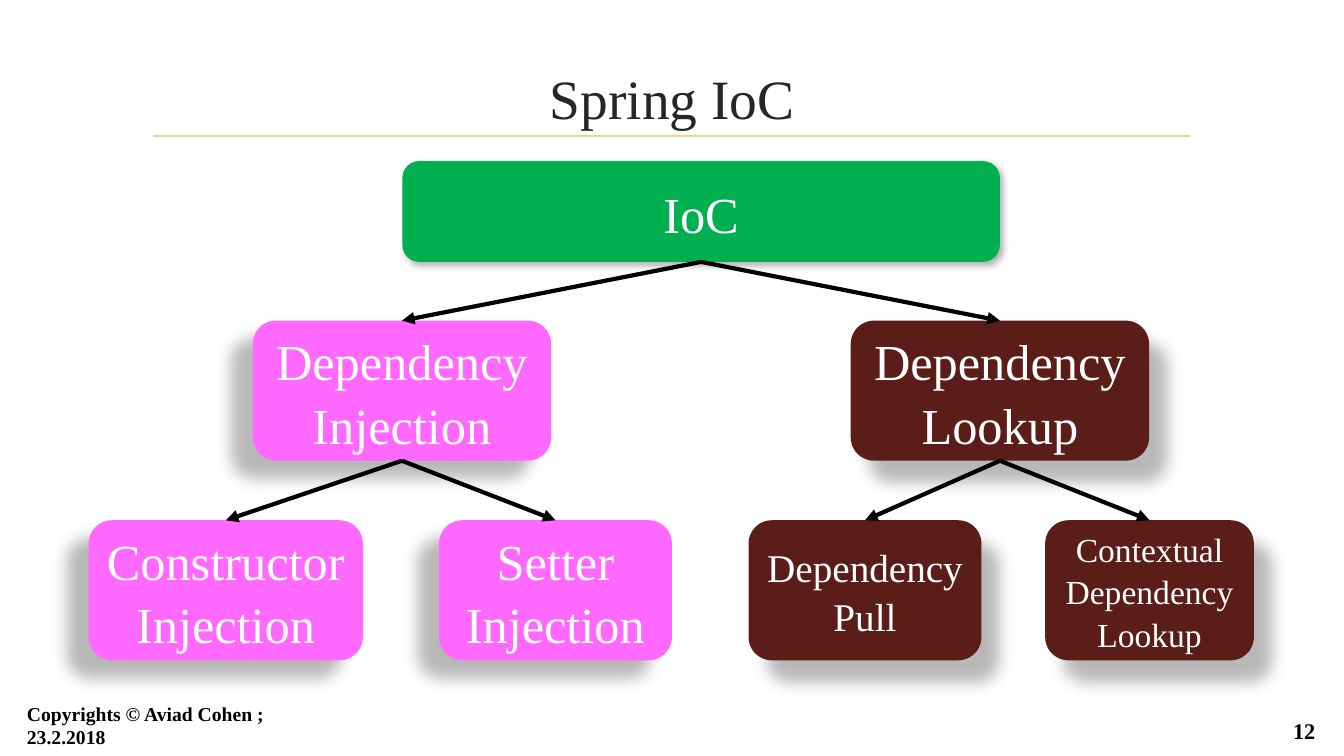
from dataclasses import dataclass
from typing import Optional

from lxml.etree import SubElement
from pptx import Presentation
from pptx.dml.color import RGBColor
from pptx.enum.shapes import MSO_CONNECTOR, MSO_SHAPE
from pptx.enum.text import MSO_ANCHOR, PP_ALIGN
from pptx.oxml.ns import qn
from pptx.util import Cm, Pt

FONT = "Times New Roman"
BLACK, WHITE = "000000", "FFFFFF"
TOP, BOTTOM = 0, 2


@dataclass(frozen=True)
class Shadow:
    alpha: int
    blur: float
    distance: float
    angle: int


@dataclass(frozen=True)
class Style:
    fill: str
    shadow: Shadow


@dataclass(frozen=True)
class Level:
    top: float
    height: float


@dataclass(frozen=True)
class Node:
    text: str
    parent: Optional[str]
    center: float
    width: float
    level: Level
    style: Style
    size: int = 36


ROOT = Level(4.06, 2.54)
BRANCH = Level(8.08, 3.53)
LEAF = Level(13.11, 3.53)

GREEN = Style("00B050", Shadow(30, 4.5, 2.6, 53))
PINK = Style("FF69FF", Shadow(28, 11.8, 19.7, 141))
BROWN = Style("5A1D18", Shadow(28, 11.8, 20, 50))

NODES = [
    Node("Dependency Injection", "IoC", 10.13, 7.52, BRANCH, PINK),
    Node("Dependency Lookup", "IoC", 25.2, 7.52, BRANCH, BROWN),
    Node("IoC", None, 17.67, 15.06, ROOT, GREEN),
    Node("Constructor Injection", "Dependency Injection", 5.69, 6.91, LEAF, PINK),
    Node("Setter Injection", "Dependency Injection", 14, 5.87, LEAF, PINK),
    Node("Dependency Pull", "Dependency Lookup", 21.8, 5.87, LEAF, BROWN, 28),
    Node("Contextual Dependency Lookup", "Dependency Lookup", 28.97, 5.26, LEAF, BROWN, 24),
]


def rgb(color: str) -> RGBColor:
    return RGBColor.from_string(color)


def write(sp, text: str, *, size: float, color: str = BLACK, bold: bool = False,
          align: PP_ALIGN = PP_ALIGN.CENTER, spacing: float = 1.0) -> None:
    tf = sp.text_frame
    tf.word_wrap = True
    tf.vertical_anchor = MSO_ANCHOR.MIDDLE
    p = tf.paragraphs[0]
    p.alignment = align
    p.line_spacing = spacing
    r = p.add_run()
    r.text = text
    r.font.name = FONT
    r.font.size = Pt(size)
    r.font.bold = bold
    r.font.color.rgb = rgb(color)


def add_shadow(sp, shadow: Shadow) -> None:
    effects = SubElement(sp.element.spPr, qn("a:effectLst"))
    outer = SubElement(effects, qn("a:outerShdw"), blurRad=str(Pt(shadow.blur)),
                       dist=str(Pt(shadow.distance)), dir=str(shadow.angle * 60000),
                       algn="ctr", rotWithShape="0")
    color = SubElement(outer, qn("a:srgbClr"), val=BLACK)
    SubElement(color, qn("a:alpha"), val=str(shadow.alpha * 1000))


def add_node(slide, node: Node):
    sp = slide.shapes.add_shape(
        MSO_SHAPE.ROUNDED_RECTANGLE, Cm(node.center - node.width / 2),
        Cm(node.level.top), Cm(node.width), Cm(node.level.height))
    sp.fill.solid()
    sp.fill.fore_color.rgb = rgb(node.style.fill)
    sp.line.fill.background()
    add_shadow(sp, node.style.shadow)
    write(sp, node.text, size=node.size, color=WHITE, spacing=1.05)
    return sp


def add_line(slide, x1: float, y1: float, x2: float, y2: float,
             color: str, width: float):
    line = slide.shapes.add_connector(
        MSO_CONNECTOR.STRAIGHT, Cm(x1), Cm(y1), Cm(x2), Cm(y2))
    line.line.color.rgb = rgb(color)
    line.line.width = Pt(width)
    SubElement(line.element.spPr, qn("a:effectLst"))
    return line


def add_arrow(slide, parent, child) -> None:
    arrow = add_line(slide, 0, 0, 0, 0, BLACK, 3)
    arrow.begin_connect(parent, BOTTOM)
    arrow.end_connect(child, TOP)
    SubElement(arrow.line._get_or_add_ln(), qn("a:tailEnd"), type="triangle")


def add_label(slide, text: str, left: float, top: float, width: float,
              height: float, size: int, align: PP_ALIGN) -> None:
    sp = slide.shapes.add_textbox(Cm(left), Cm(top), Cm(width), Cm(height))
    write(sp, text, size=size, bold=True, align=align)


prs = Presentation()
prs.slide_width, prs.slide_height = Cm(33.87), Cm(19.05)
slide = prs.slides.add_slide(prs.slide_layouts[5])

add_line(slide, 3.86, 3.43, 30, 3.43, "E8D191", 1.25)

title = slide.shapes.title
title.left, title.top, title.width, title.height = Cm(3.61), Cm(1.73), Cm(26.67), Cm(1.45)
write(title, "Spring IoC", size=39.6, color="262626")

add_label(slide, "12", 31.9, 18.01, 1.5, 0.79, 16, PP_ALIGN.RIGHT)
add_label(slide, "Copyrights © Aviad Cohen ; 23.2.2018", 0.43, 17.88, 8.51, 0.79, 14, PP_ALIGN.LEFT)

boxes = {node.text: add_node(slide, node) for node in NODES}
for node in NODES:
    if node.parent:
        add_arrow(slide, boxes[node.parent], boxes[node.text])

prs.save("out.pptx")
